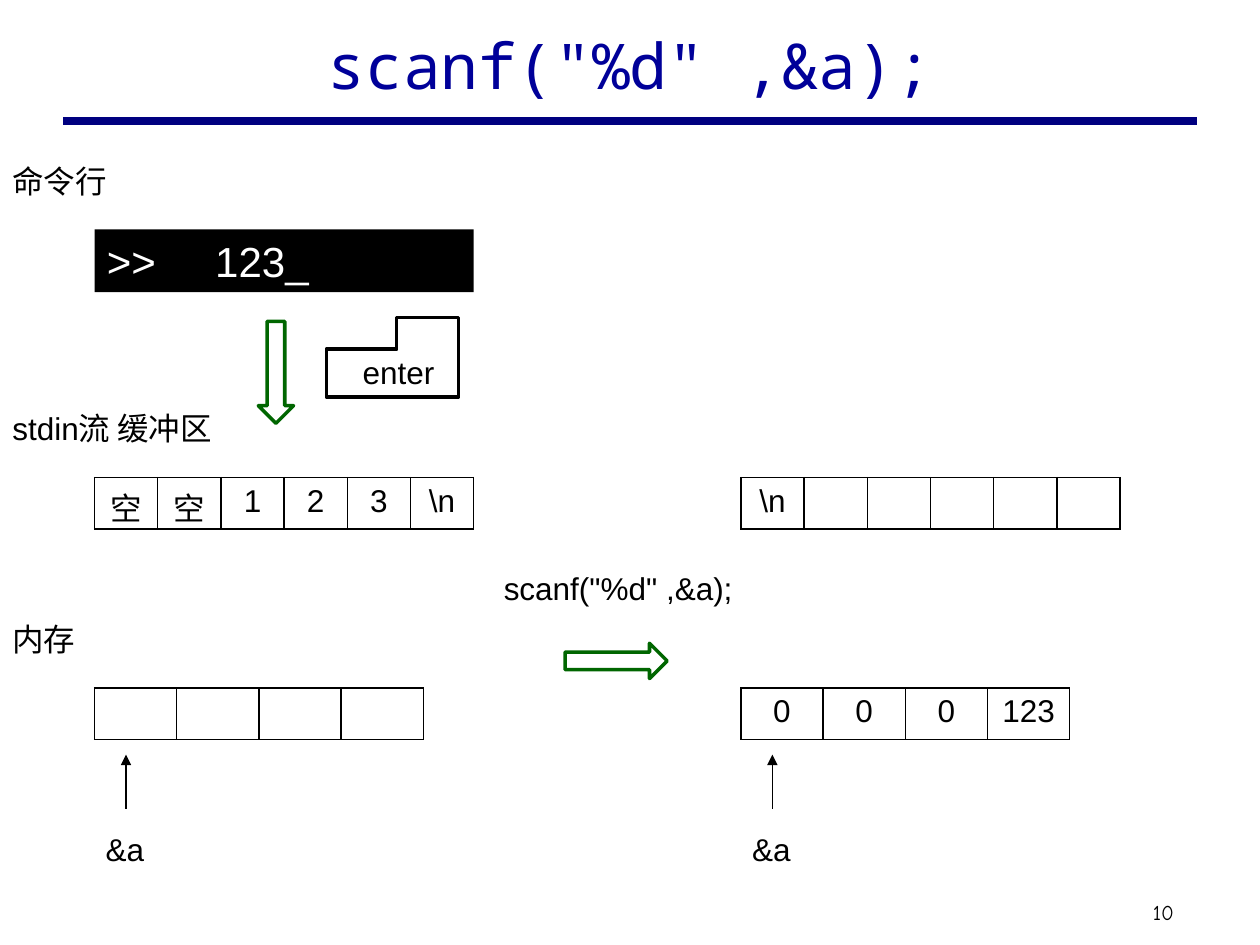
from lxml.etree import SubElement
from pptx import Presentation
from pptx.dml.color import RGBColor
from pptx.enum.shapes import MSO_CONNECTOR, MSO_SHAPE
from pptx.enum.text import MSO_ANCHOR, PP_ALIGN
from pptx.oxml.ns import qn
from pptx.util import Inches, Pt

BLACK = "000000"
WHITE = "FFFFFF"
GREEN = "006600"


def color(value):
    """Turn a hex string into a colour."""
    return RGBColor.from_string(value)


def write(frame, text, size=18, font="Arial", ink=BLACK, align=PP_ALIGN.LEFT):
    """Write one run into the first paragraph of a text frame."""
    paragraph = frame.paragraphs[0]
    paragraph.alignment = align
    run = paragraph.add_run()
    run.text = text
    run.font.size = Pt(size)
    run.font.name = font
    run.font.color.rgb = color(ink)
    return paragraph


def add_label(slide, left, top, width, text, height=0.4, wrap=False, **style):
    """Place a text box and return its text frame."""
    shape = slide.shapes.add_textbox(Inches(left), Inches(top), Inches(width), Inches(height))
    frame = shape.text_frame
    frame.word_wrap = wrap
    write(frame, text, **style)
    return frame


def add_figure(slide, kind, left, top, width, height, fill=None, line=None):
    """Place a preset shape with an optional fill and outline."""
    shape = slide.shapes.add_shape(kind, Inches(left), Inches(top), Inches(width), Inches(height))
    shape.shadow.inherit = False
    if fill:
        shape.fill.solid()
        shape.fill.fore_color.rgb = color(fill)
    else:
        shape.fill.background()
    if line:
        shape.line.color.rgb = color(line)
        shape.line.width = Pt(2)
    else:
        shape.line.fill.background()
    return shape


def add_line(slide, start, end, ink, width, arrow=False):
    """Draw a straight line, with an arrowhead at its end if asked."""
    connector = slide.shapes.add_connector(
        MSO_CONNECTOR.STRAIGHT, *[Inches(length) for length in (*start, *end)])
    connector.line.color.rgb = color(ink)
    connector.line.width = Pt(width)
    if arrow:
        SubElement(connector.line._get_or_add_ln(), qn("a:tailEnd"), type="triangle")
    SubElement(connector._element.spPr, qn("a:effectLst"))


def add_border(cell):
    """Give a cell thin black borders on all sides."""
    properties = cell._tc.get_or_add_tcPr()
    for index, side in enumerate(("a:lnL", "a:lnR", "a:lnT", "a:lnB")):
        border = SubElement(properties, qn(side), w=str(Pt(1)))
        fill = SubElement(border, qn("a:solidFill"))
        SubElement(fill, qn("a:srgbClr"), val=BLACK)
        properties.remove(border)
        properties.insert(index, border)


def add_cells(slide, left, top, width, values):
    """Place a one-row table of equal cells."""
    graphic = slide.shapes.add_table(
        1, len(values), Inches(left), Inches(top), Inches(width), Inches(0.41))
    table = graphic.table
    table.first_row = False
    table.horz_banding = False
    for index, value in enumerate(values):
        cell = table.cell(0, index)
        cell.fill.background()
        add_border(cell)
        if value:
            write(cell.text_frame, value, align=PP_ALIGN.CENTER)


def add_memory(slide, left, top, values):
    """Place the memory cells with the pointer to their first byte."""
    add_cells(slide, left, top, 2.61, values)
    pointer = left + 0.25
    add_line(slide, (pointer, top + 0.96), (pointer, top + 0.53), BLACK, 0.75, arrow=True)
    add_label(slide, left - 0.01, top + 1.08, 0.52, "&a", wrap=True)


def add_header(slide, left, top, width):
    """Place the title and the rule below it."""
    frame = add_label(slide, left + 0.25, top, width - 0.5, 'scanf("%d" ,&a);', height=0.86,
                      wrap=True, size=36, font="Noto Sans Mono", ink="000099",
                      align=PP_ALIGN.CENTER)
    frame.vertical_anchor = MSO_ANCHOR.MIDDLE
    add_line(slide, (left, top + 0.88), (left + width, top + 0.88), "000080", 4.5)


def add_enter_key(slide, left, top):
    """Place the mirrored corner shape of the enter key with its label."""
    key = add_figure(slide, MSO_SHAPE.RECTANGLE, left, top, 1.05, 0.63, WHITE, BLACK)
    properties = key._element.spPr
    properties.get_or_add_xfrm().set("flipH", "1")
    geometry = properties.find(qn("a:prstGeom"))
    geometry.set("prst", "corner")
    guides = geometry.find(qn("a:avLst"))
    for name, value in (("adj1", 60000), ("adj2", 78000)):
        SubElement(guides, qn("a:gd"), name=name, fmla=f"val {value}")
    add_label(slide, left + 0.19, top + 0.23, 0.78, "enter")


def add_command_line(slide, left, top):
    """Place the console, the enter key and the arrow to the buffer."""
    console = add_figure(slide, MSO_SHAPE.RECTANGLE, left, top, 3.01, 0.5, fill=BLACK)
    paragraph = write(console.text_frame, ">>\t123_", size=24, ink=WHITE)
    tabs = SubElement(paragraph._p.get_or_add_pPr(), qn("a:tabLst"))
    SubElement(tabs, qn("a:tab"), pos=str(Inches(0.86)), algn="l")
    add_enter_key(slide, left + 1.84, top + 0.7)
    add_figure(slide, MSO_SHAPE.DOWN_ARROW, left + 1.3, top + 0.73, 0.28, 0.81, line=GREEN)


def add_call(slide, left, top):
    """Place the function call above its arrow."""
    add_label(slide, left, top, 2.04, 'scanf("%d" ,&a);')
    arrow = add_figure(slide, MSO_SHAPE.DOWN_ARROW, left + 0.85, top + 0.37, 0.28, 0.81, line=GREEN)
    arrow.rotation = 270


def add_page_number(slide, left, top):
    """Place the page number."""
    frame = add_label(slide, left, top, 0.47, "10", height=0.3, size=12, font="Comic Neue")
    frame.vertical_anchor = MSO_ANCHOR.MIDDLE
    frame.margin_left = frame.margin_right = Inches(0.05)


def main():
    """Build the slide and save it."""
    presentation = Presentation()
    presentation.slide_width = Inches(10)
    presentation.slide_height = Inches(7.5)
    slide = presentation.slides.add_slide(presentation.slide_layouts[6])
    before, after = 0.75, 5.88
    add_header(slide, 0.5, 0.08, 9)
    for top, width, text in ((1.24, 0.96, "命令行"), (3.2, 1.88, "stdin流 缓冲区"),
                             (4.87, 0.71, "内存")):
        add_label(slide, 0, top, width, text)
    add_command_line(slide, before, 1.82)
    add_cells(slide, before, 3.79, 3.01, ["空", "空", "1", "2", "3", "\\n"])
    add_cells(slide, after, 3.79, 3.01, ["\\n"] + [""] * 5)
    add_call(slide, 3.9, 4.47)
    add_memory(slide, before, 5.46, [""] * 4)
    add_memory(slide, after, 5.46, ["0", "0", "0", "123"])
    add_page_number(slide, 9.1, 7.09)
    presentation.save("out.pptx")


if __name__ == "__main__":
    main()
